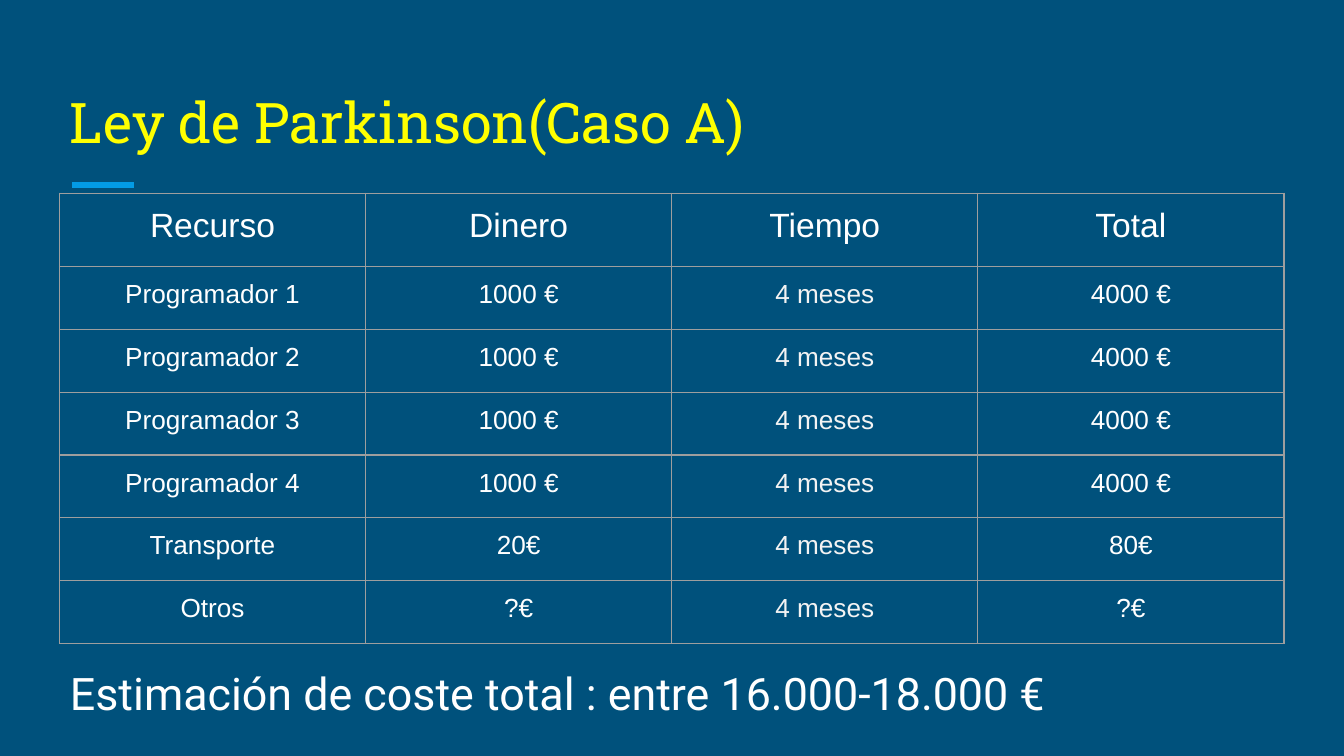
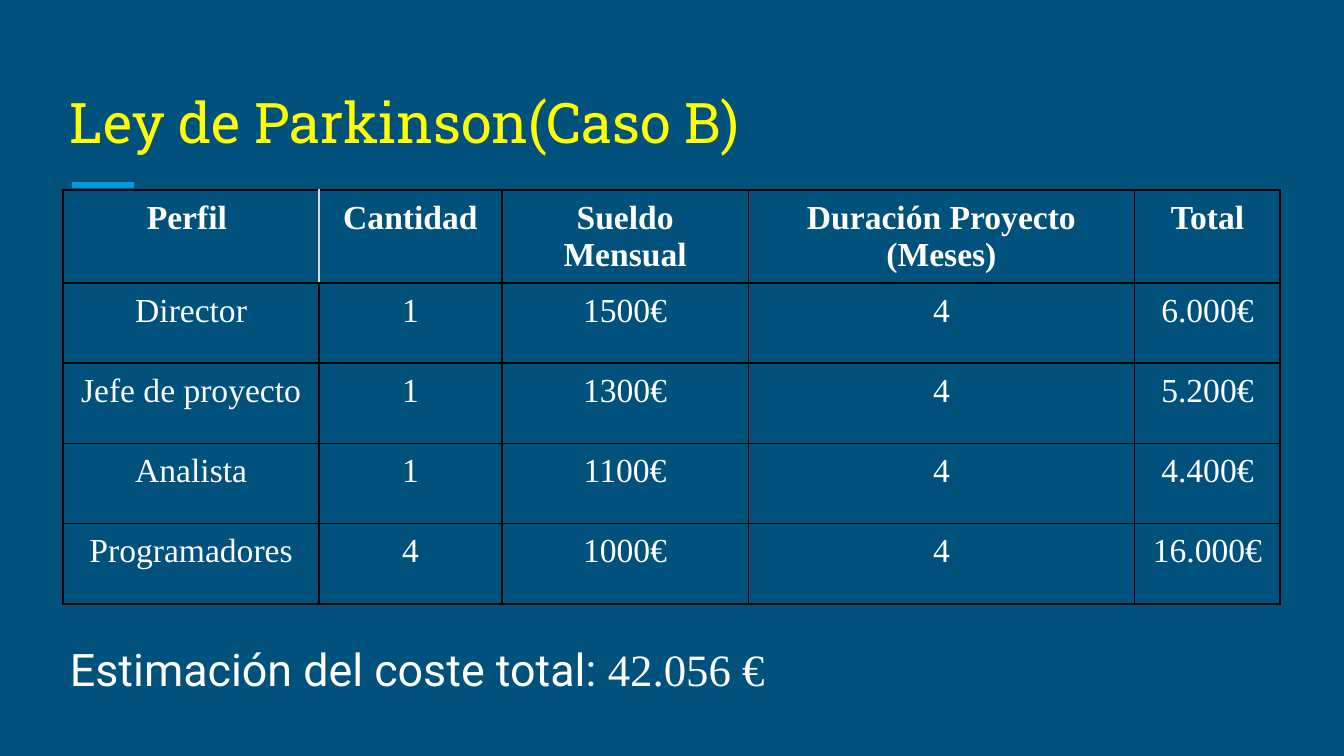
from collections import namedtuple
from dataclasses import dataclass

from lxml import etree
from pptx import Presentation
from pptx.dml.color import RGBColor
from pptx.enum import shapes, text
from pptx.oxml import ns
from pptx.util import Pt

Box = namedtuple("Box", "left top width height")


@dataclass(frozen=True)
class Theme:
    """Colours, fonts and type sizes shared by the slides."""
    background: str = "00517C"
    accent: str = "039BE5"
    title: str = "FFFF00"
    text: str = "FFFFFF"
    soft_text: str = "F3F3F3"
    grey_border: str = "9E9E9E"
    black_border: str = "000000"
    light_border: str = "D9D9D9"
    title_font: str = "Roboto Slab"
    body_font: str = "Roboto"
    sans_font: str = "Arial"
    serif_font: str = "Times New Roman"
    title_size: int = 30
    body_size: int = 24
    header_size: int = 18
    cell_size: int = 14
    inset: float = 7.2


@dataclass(frozen=True)
class TableStyle:
    """Look of one table."""
    font: str
    size: int
    bold_header: bool
    inset: float
    border: str
    border_width: float


THEME = Theme()
TITLE_BOX = Box(30.25, 36, 658.8, 54)
ACCENT_BOX = Box(38.6, 99, 33.4, 0)


def style_run(run, font, size, color, bold=False):
    """Set the font, size, colour and weight of a run."""
    run.font.name = font
    run.font.size = Pt(size)
    run.font.bold = bold
    run.font.color.rgb = RGBColor.from_string(color)


def place_placeholder(shape, box, anchor):
    """Move a placeholder into its box and prepare its text frame."""
    shape.left, shape.top, shape.width, shape.height = map(Pt, box)
    frame = shape.text_frame
    frame.auto_size = text.MSO_AUTO_SIZE.NONE
    frame.word_wrap = True
    frame.vertical_anchor = anchor
    frame.margin_left = frame.margin_right = Pt(THEME.inset)
    frame.margin_top = frame.margin_bottom = Pt(THEME.inset)
    return frame


def add_title(slide, box, title):
    """Fill the title placeholder."""
    frame = place_placeholder(slide.shapes.title, box, text.MSO_ANCHOR.BOTTOM)
    frame.text = title
    paragraph = frame.paragraphs[0]
    paragraph.alignment = text.PP_ALIGN.LEFT
    style_run(paragraph.runs[0], THEME.title_font, THEME.title_size, THEME.title)


def add_accent(slide, box):
    """Draw the short rule under the title."""
    line = slide.shapes.add_connector(
        shapes.MSO_CONNECTOR.STRAIGHT, Pt(box.left), Pt(box.top),
        Pt(box.left + box.width), Pt(box.top + box.height))
    line.line.color.rgb = RGBColor.from_string(THEME.accent)
    line.line.width = Pt(3)
    etree.SubElement(line._element.spPr, ns.qn("a:effectLst"))


def add_estimate(slide, box, parts):
    """Fill the body placeholder with the estimate, given as text and font pairs."""
    frame = place_placeholder(slide.placeholders[1], box, text.MSO_ANCHOR.TOP)
    paragraph = frame.paragraphs[0]
    paragraph.alignment = text.PP_ALIGN.LEFT
    paragraph.line_spacing = 1.15
    paragraph.space_before = Pt(0)
    paragraph.space_after = Pt(16)
    properties = paragraph._p.get_or_add_pPr()
    properties.set("marL", "0")
    properties.set("indent", "0")
    etree.SubElement(properties, ns.qn("a:buNone"))
    for words, font in parts:
        run = paragraph.add_run()
        run.text = words
        style_run(run, font, THEME.body_size, THEME.text)


def set_borders(cell, width, color, **sides):
    """Give a cell its four borders, with other colours for named sides."""
    properties = cell._tc.get_or_add_tcPr()
    for position, side in enumerate("LRTB"):
        line = etree.Element(ns.qn(f"a:ln{side}"), w=str(Pt(width)))
        fill = etree.SubElement(line, ns.qn("a:solidFill"))
        etree.SubElement(fill, ns.qn("a:srgbClr"), val=sides.get(side, color))
        properties.insert(position, line)


def add_cost_table(slide, box, widths, heights, rows, style):
    """Add a centred table with plain cells and return it."""
    table = slide.shapes.add_table(len(rows), len(widths), *map(Pt, box)).table
    table.first_row = table.horz_banding = False
    for column, width in zip(table.columns, widths):
        column.width = Pt(width)
    for index, (row, height) in enumerate(zip(table.rows, heights)):
        row.height = Pt(height)
        size = style.size if index else THEME.header_size
        for cell, words in zip(row.cells, rows[index]):
            cell.fill.background()
            cell.margin_left = cell.margin_right = Pt(style.inset)
            cell.margin_top = cell.margin_bottom = Pt(style.inset)
            cell.text_frame.text = words
            paragraph = cell.text_frame.paragraphs[0]
            paragraph.alignment = text.PP_ALIGN.CENTER
            style_run(paragraph.runs[0], style.font, size, THEME.text,
                      style.bold_header and index == 0)
            set_borders(cell, style.border_width, style.border)
    return table


def add_case_slide(presentation, case):
    """Add a slide with the shared title and rule."""
    slide = presentation.slides.add_slide(presentation.slide_layouts[1])
    add_accent(slide, ACCENT_BOX)
    add_title(slide, TITLE_BOX, f"Ley de Parkinson(Caso {case})")
    return slide


def build_case_a(presentation):
    """Build the slide with the costs by resource."""
    slide = add_case_slide(presentation, "A")
    add_estimate(slide, Box(30.25, 344.9, 658.8, 54), [
        ("Estimación de coste total : entre 16.000-18.000 €", THEME.body_font)])
    months = "4 meses"
    rows = [("Recurso", "Dinero", "Tiempo", "Total")]
    rows += [(f"Programador {number}", "1000 €", months, "4000 €")
             for number in range(1, 5)]
    rows += [("Transporte", "20€", months, "80€"), ("Otros", "?€", months, "?€")]
    widths = [164] * 4
    heights = [39.3] + [33.65] * 6
    style = TableStyle(THEME.sans_font, THEME.cell_size, False, THEME.inset,
                       THEME.grey_border, 0.75)
    box = Box(31.9, 103.5, sum(widths), sum(heights))
    table = add_cost_table(slide, box, widths, heights, rows, style)
    for index in range(1, len(rows)):
        run = table.cell(index, 2).text_frame.paragraphs[0].runs[0]
        run.font.color.rgb = RGBColor.from_string(THEME.soft_text)


def build_case_b(presentation):
    """Build the slide with the costs by profile."""
    slide = add_case_slide(presentation, "B")
    add_estimate(slide, Box(30.25, 332.2, 658.8, 43.2), [
        ("Estimación del coste total: ", THEME.body_font),
        ("42.056 € ", THEME.serif_font)])
    rows = [
        ("Perfil ", "Cantidad", "Sueldo Mensual", "Duración Proyecto (Meses)", "Total"),
        ("Director", "1", "1500€", "4", "6.000€"),
        ("Jefe de proyecto", "1", "1300€", "4", "5.200€"),
        ("Analista", "1", "1100€", "4", "4.400€"),
        ("Programadores", "4", "1000€", "4", "16.000€"),
    ]
    widths = [137, 98, 132, 207, 78]
    heights = [43] * len(rows)
    style = TableStyle(THEME.serif_font, THEME.header_size, True, 5,
                       THEME.black_border, 1)
    box = Box(33.9, 101.7, sum(widths), sum(heights))
    table = add_cost_table(slide, box, widths, heights, rows, style)
    for column, side in enumerate("RL"):
        properties = table.cell(0, column)._tc.get_or_add_tcPr()
        color = properties.find(f"{ns.qn('a:ln' + side)}//{ns.qn('a:srgbClr')}")
        color.set("val", THEME.light_border)


def main():
    """Build and save the presentation."""
    presentation = Presentation()
    presentation.slide_width, presentation.slide_height = Pt(720), Pt(405)
    fill = presentation.slide_master.background.fill
    fill.solid()
    fill.fore_color.rgb = RGBColor.from_string(THEME.background)
    build_case_a(presentation)
    build_case_b(presentation)
    presentation.save("out.pptx")


main()
